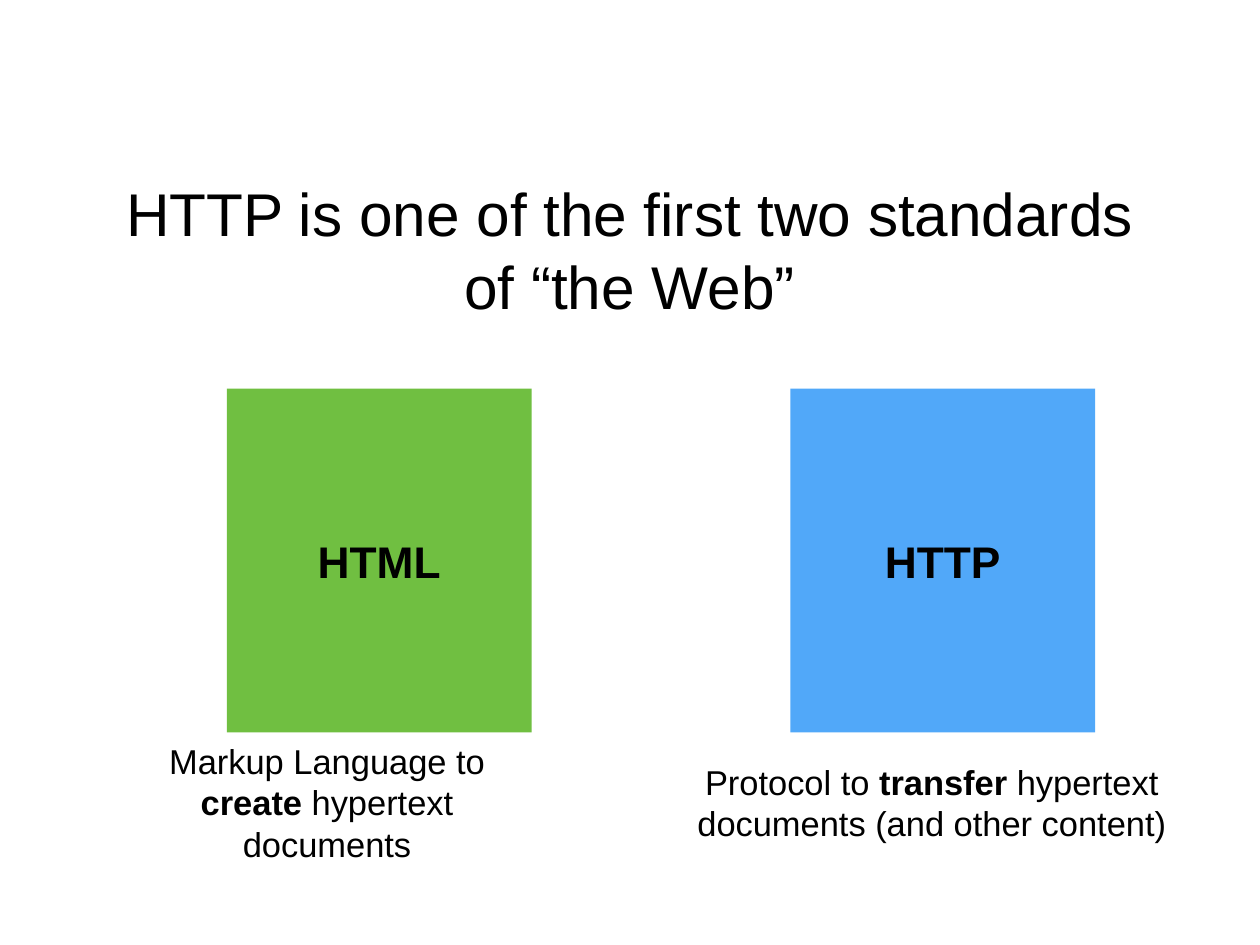
import pptx
import pptx.dml.color
import pptx.enum.shapes
import pptx.enum.text
import pptx.util
from dataclasses import dataclass

TITLE = [[("HTTP is one of the first two standards", False)], [("of “the Web”", False)]]
STANDARDS = [
    {
        "name": "HTML",
        "fill": "green",
        "caption": [
            [("Markup Language to ", False)],
            [("create", True), (" hypertext documents", False)],
        ],
        "caption_span": (12.66, 26.58),
    },
    {
        "name": "HTTP",
        "fill": "blue",
        "caption": [
            [
                ("Protocol to ", False),
                ("transfer", True),
                (" hypertext documents (and other content)", False),
            ],
        ],
        "caption_span": (51.83, 44.23),
    },
]

SLIDE_WIDTH, SLIDE_HEIGHT = 14.22, 10.67
TITLE_AREA = (4.36, 14.34, 91.21, 24)
SQUARE_LEFT, SQUARE_PITCH, SQUARE_WIDTH = 18, 44.73, 24.19
SQUARE_TOP, SQUARE_HEIGHT = 41.14, 36.36
CAPTION_TOP, CAPTION_HEIGHT = 79.94, 9.84


@dataclass(frozen=True)
class Theme:
    font: str = "Arial"
    ink: str = "000000"
    green: str = "70BF41"
    blue: str = "51A8F9"
    title: int = 49
    label: int = 36
    caption: int = 28
    inset: float = 0.06


THEME = Theme()


def color(name):
    return pptx.dml.color.RGBColor.from_string(getattr(THEME, name))


def place(left, top, width, height):
    across, down = SLIDE_WIDTH / 100, SLIDE_HEIGHT / 100
    return [
        pptx.util.Inches(length)
        for length in (left * across, top * down, width * across, height * down)
    ]


def write(shape, paragraphs, size):
    frame = shape.text_frame
    frame.word_wrap = True
    frame.vertical_anchor = pptx.enum.text.MSO_ANCHOR.MIDDLE
    for side in ("left", "top", "right", "bottom"):
        setattr(frame, f"margin_{side}", pptx.util.Inches(THEME.inset))
    for index, spans in enumerate(paragraphs):
        para = frame.add_paragraph() if index else frame.paragraphs[0]
        para.alignment = pptx.enum.text.PP_ALIGN.CENTER
        for text, bold in spans:
            span = para.add_run()
            span.text = text
            span.font.name = THEME.font
            span.font.size = pptx.util.Pt(size)
            span.font.bold = bold
            span.font.color.rgb = color("ink")


def add_text(page, area, paragraphs, size):
    write(page.shapes.add_textbox(*place(*area)), paragraphs, size)


def add_square(page, area, standard):
    square = page.shapes.add_shape(
        pptx.enum.shapes.MSO_SHAPE.RECTANGLE, *place(*area)
    )
    square.shadow.inherit = False
    square.fill.solid()
    square.fill.fore_color.rgb = color(standard["fill"])
    square.line.fill.background()
    write(square, [[(standard["name"], True)]], THEME.label)


def main():
    deck = pptx.Presentation()
    deck.slide_width = pptx.util.Inches(SLIDE_WIDTH)
    deck.slide_height = pptx.util.Inches(SLIDE_HEIGHT)
    page = deck.slides.add_slide(deck.slide_layouts[6])
    add_text(page, TITLE_AREA, TITLE, THEME.title)
    for column, standard in enumerate(STANDARDS):
        left = SQUARE_LEFT + column * SQUARE_PITCH
        add_square(page, (left, SQUARE_TOP, SQUARE_WIDTH, SQUARE_HEIGHT), standard)
        left, width = standard["caption_span"]
        area = (left, CAPTION_TOP, width, CAPTION_HEIGHT)
        add_text(page, area, standard["caption"], THEME.caption)
    deck.save("out.pptx")


if __name__ == "__main__":
    main()
